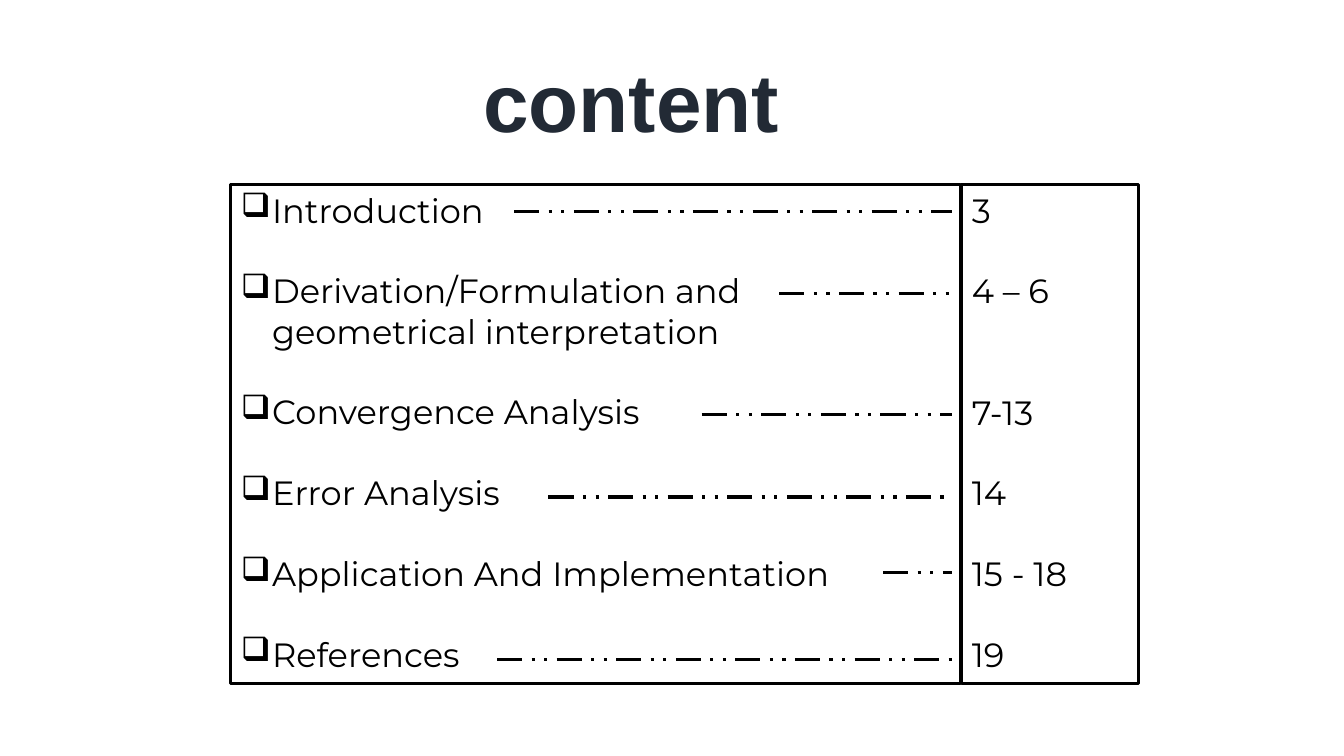
from lxml import etree
from pptx import Presentation
from pptx.dml.color import RGBColor
from pptx.enum.dml import MSO_LINE
from pptx.enum.shapes import MSO_CONNECTOR, MSO_SHAPE
from pptx.enum.text import MSO_ANCHOR, PP_ALIGN
from pptx.oxml.ns import qn
from pptx.util import Inches, Pt

BLACK = RGBColor(0x00, 0x00, 0x00)
NAVY = RGBColor(0x22, 0x2A, 0x35)
RECTANGLE = MSO_SHAPE.RECTANGLE
STRAIGHT = MSO_CONNECTOR.STRAIGHT
LEADER_DASH = MSO_LINE.DASH_DOT_DOT
TOP, MIDDLE = MSO_ANCHOR.TOP, MSO_ANCHOR.MIDDLE
LEFT, CENTER = PP_ALIGN.LEFT, PP_ALIGN.CENTER

BOX_TOP, BOX_HEIGHT = 1.83, 4.95
LEADER_END = 9.44
LINE_PITCH = 28.9
HANGING = 0.31

# topic, pages, lines the topic takes, leader start, leader height
ENTRIES = [
    ("Introduction", "3", 1, 5.1, 2.1),
    ("Derivation/Formulation and geometrical interpretation", "4 – 6", 2, 7.73, 2.91),
    ("Convergence Analysis", "7-13", 1, 6.96, 4.11),
    ("Error Analysis", "14", 1, 5.44, 4.93),
    ("Application And Implementation", "15 - 18", 1, 8.76, 5.68),
    ("References", "19", 1, 4.93, 6.54),
]


def format_font(font, **values):
    for attribute, value in values.items():
        setattr(font, attribute, value)


def add_column(slide, left, width, rows):
    """Draw an outlined column; rows holds (text, blank lines after it)."""
    column = slide.shapes.add_shape(
        RECTANGLE, Inches(left), Inches(BOX_TOP), Inches(width), Inches(BOX_HEIGHT))
    column.shadow.inherit = False
    column.fill.background()
    column.line.color.rgb = BLACK
    column.line.width = Pt(2.25)
    frame = column.text_frame
    frame.word_wrap = True
    frame.vertical_anchor = TOP
    for index, (text, blank_lines) in enumerate(rows):
        paragraph = frame.add_paragraph() if index else frame.paragraphs[0]
        paragraph.text = text
        paragraph.alignment = LEFT
        paragraph.space_after = Pt(blank_lines * LINE_PITCH)
        format_font(paragraph.runs[0].font, name="Montserrat", size=Pt(24))
        paragraph.runs[0].font.color.rgb = BLACK
    return column


prs = Presentation()
prs.slide_width, prs.slide_height = Inches(13.33), Inches(7.5)
slide = prs.slides.add_slide(prs.slide_layouts[5])

title = slide.shapes.title
title.left, title.top = Inches(3.94), Inches(0.62)
title.width, title.height = Inches(4.64), Inches(0.92)
title.text_frame.text = "content"
title.text_frame.vertical_anchor = MIDDLE
heading = title.text_frame.paragraphs[0]
heading.alignment = CENTER
heading.line_spacing = 0.8
format_font(heading.runs[0].font, name="Arial", size=Pt(58.5), bold=True)
heading.runs[0].font.color.rgb = NAVY

last = len(ENTRIES) - 1
topics = add_column(slide, 2.29, 7.24, [
    (topic, int(row < last)) for row, (topic, *_) in enumerate(ENTRIES)])
for paragraph in topics.text_frame.paragraphs:
    properties = paragraph._p.get_or_add_pPr()
    properties.set("marL", str(Inches(HANGING)))
    properties.set("indent", str(Inches(-HANGING)))
    etree.SubElement(properties, qn("a:buChar")).set("char", "❑")

add_column(slide, 9.54, 1.75, [
    (pages, lines if row < last else 0)
    for row, (_, pages, lines, *_) in enumerate(ENTRIES)])

for *_, start, height in ENTRIES:
    leader = slide.shapes.add_connector(
        STRAIGHT, Inches(start), Inches(height), Inches(LEADER_END), Inches(height))
    leader.line.color.rgb = BLACK
    leader.line.width = Pt(2.25)
    leader.line.dash_style = LEADER_DASH
    etree.SubElement(leader._element.spPr, qn("a:effectLst"))

prs.save("out.pptx")
